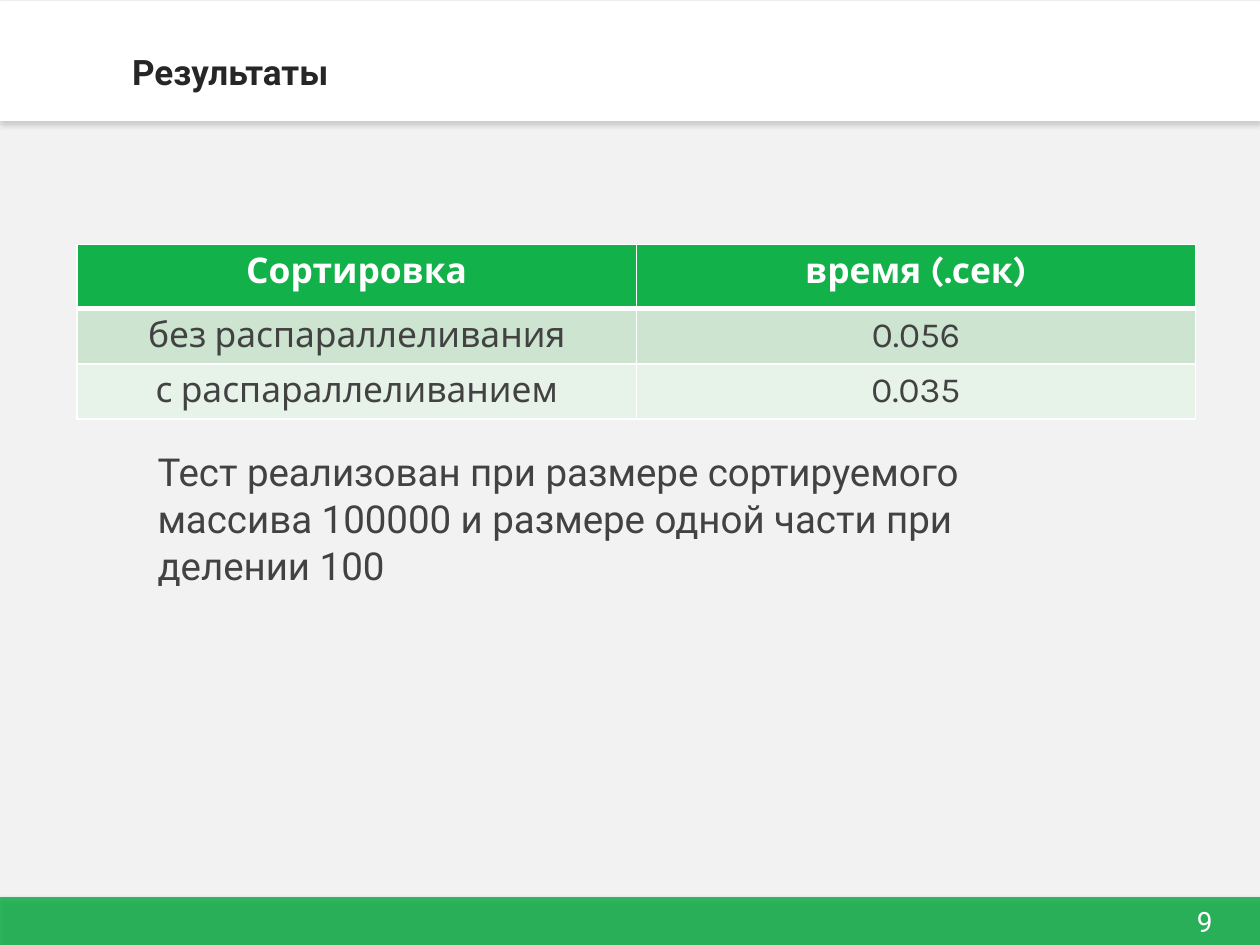
import pptx
import pptx.dml.color
import pptx.enum.shapes
import pptx.enum.text
import pptx.oxml
import pptx.oxml.ns
import pptx.util

Inches = pptx.util.Inches
Pt = pptx.util.Pt
RGBColor = pptx.dml.color.RGBColor
Align = pptx.enum.text.PP_ALIGN
Anchor = pptx.enum.text.MSO_ANCHOR
NAMESPACE = pptx.oxml.ns.nsdecls("a")

THEME = {
    "background": "F2F2F2",
    "green": "13B14A",
    "white": "FFFFFF",
    "rows": ["13B14A", "CCE4D0", "E7F2E9"],
    "title": {"name": "Roboto", "size": Pt(20), "bold": True, "color": "262626"},
    "note": {"name": "Roboto", "size": Pt(22), "bold": False, "color": "424242"},
    "number": {"name": "Roboto", "size": Pt(16), "bold": False, "color": "FFFFFF"},
    "header": {"name": "Karla", "size": Pt(20.2), "bold": True, "color": "FFFFFF"},
    "cell": {"name": "Karla", "size": Pt(20.2), "bold": False, "color": "424242"},
}


def write(frame, text, style, alignment):
    paragraph = frame.paragraphs[0]
    paragraph.alignment = alignment
    run = paragraph.add_run()
    run.text = text
    for attribute, value in THEME[style].items():
        if attribute == "color":
            run.font.color.rgb = RGBColor.from_string(value)
        else:
            setattr(run.font, attribute, value)


presentation = pptx.Presentation()
presentation.slide_width = Inches(10)
presentation.slide_height = Inches(7.5)
slide = presentation.slides.add_slide(presentation.slide_layouts[6])
slide.background.fill.solid()
slide.background.fill.fore_color.rgb = RGBColor.from_string(THEME["background"])

bands = [
    (7.12, 0.38, THEME["green"], 86, "000000"),
    (0.01, 0.95, THEME["white"], 100, "808080"),
]
for top, height, color, opacity, shadow_color in bands:
    band = slide.shapes.add_shape(
        pptx.enum.shapes.MSO_SHAPE.RECTANGLE,
        Inches(0), Inches(top), Inches(10), Inches(height),
    )
    band.line.fill.background()
    band.fill.solid()
    band.fill.fore_color.rgb = RGBColor.from_string(color)
    if opacity < 100:
        fill_color = band.fill._xPr.find(".//" + pptx.oxml.ns.qn("a:srgbClr"))
        fill_color.append(
            pptx.oxml.parse_xml(f'<a:alpha {NAMESPACE} val="{opacity * 1000}"/>')
        )
    band.shadow.inherit = False
    effects = band._element.spPr.find(pptx.oxml.ns.qn("a:effectLst"))
    effects.append(pptx.oxml.parse_xml(
        f'<a:outerShdw {NAMESPACE} blurRad="{Pt(3.1)}" dist="{Pt(1.8)}" '
        f'dir="5400000" rotWithShape="0"><a:srgbClr val="{shadow_color}">'
        '<a:alpha val="35000"/></a:srgbClr></a:outerShdw>'
    ))

labels = [
    ("9", "number", (9.22, 7.13, 0.68, 0.37), Align.CENTER, Anchor.MIDDLE, 0.05, 1),
    ("Результаты", "title", (0.95, -0.01, 8.55, 0.79), Align.LEFT, Anchor.BOTTOM, 0.1, 1),
    ("Тест реализован при размере сортируемого массива 100000 и размере одной части при делении 100",
     "note", (1.25, 3.55, 7.22, 1.51), Align.LEFT, Anchor.TOP, 0, 1.02),
]
for text, style, box, alignment, anchor, inset, spacing in labels:
    frame = slide.shapes.add_textbox(*map(Inches, box)).text_frame
    settings = {
        "word_wrap": True,
        "vertical_anchor": anchor,
        "margin_left": Inches(inset),
        "margin_right": Inches(inset),
        "margin_top": Inches(inset / 2),
        "margin_bottom": Inches(inset / 2),
    }
    for attribute, value in settings.items():
        setattr(frame, attribute, value)
    write(frame, text, style, alignment)
    frame.paragraphs[0].line_spacing = spacing

results = [
    ("Сортировка", "время (.сек)"),
    ("без распараллеливания", "0.056"),
    ("с распараллеливанием", "0.035"),
]
table = slide.shapes.add_table(
    3, 2, Inches(0.61), Inches(1.94), Inches(8.88), Inches(1.37)
).table
for column in table.columns:
    column.width = Inches(4.44)
for row_index, values in enumerate(results):
    table.rows[row_index].height = Inches(0.43 if row_index else 0.51)
    for column_index, text in enumerate(values):
        cell = table.cell(row_index, column_index)
        cell.fill.solid()
        cell.fill.fore_color.rgb = RGBColor.from_string(THEME["rows"][row_index])
        write(cell.text_frame, text, "cell" if row_index else "header", Align.CENTER)
        widths = {
            "L": 1,
            "R": 1,
            "T": 3 if row_index == 1 else 1,
            "B": 1 if row_index else 3,
        }
        properties = cell._tc.get_or_add_tcPr()
        for position, (side, width) in enumerate(widths.items()):
            properties.insert(position, pptx.oxml.parse_xml(
                f'<a:ln{side} {NAMESPACE} w="{Pt(width)}"><a:solidFill>'
                f'<a:srgbClr val="{THEME["white"]}"/></a:solidFill></a:ln{side}>'
            ))

presentation.save("out.pptx")
